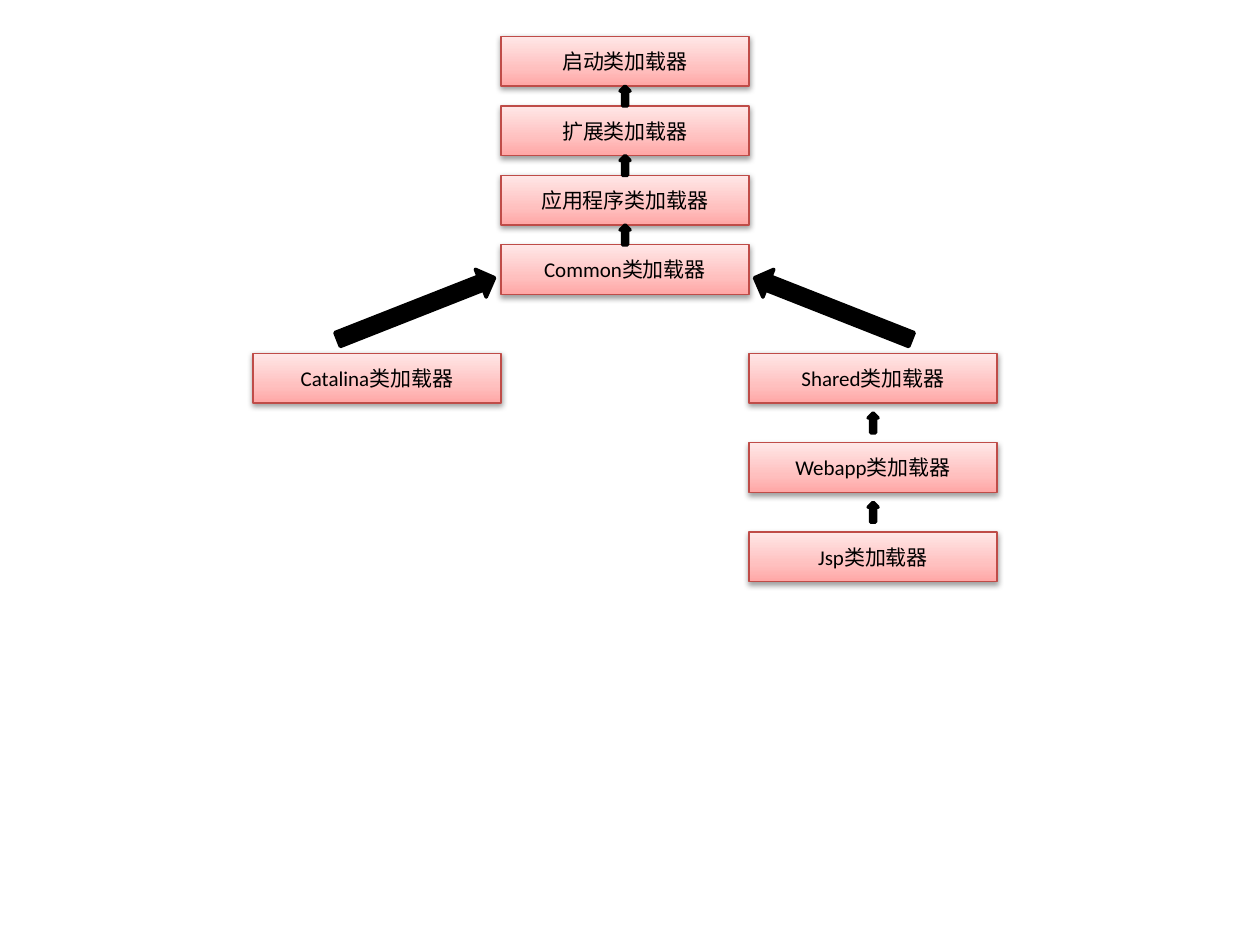
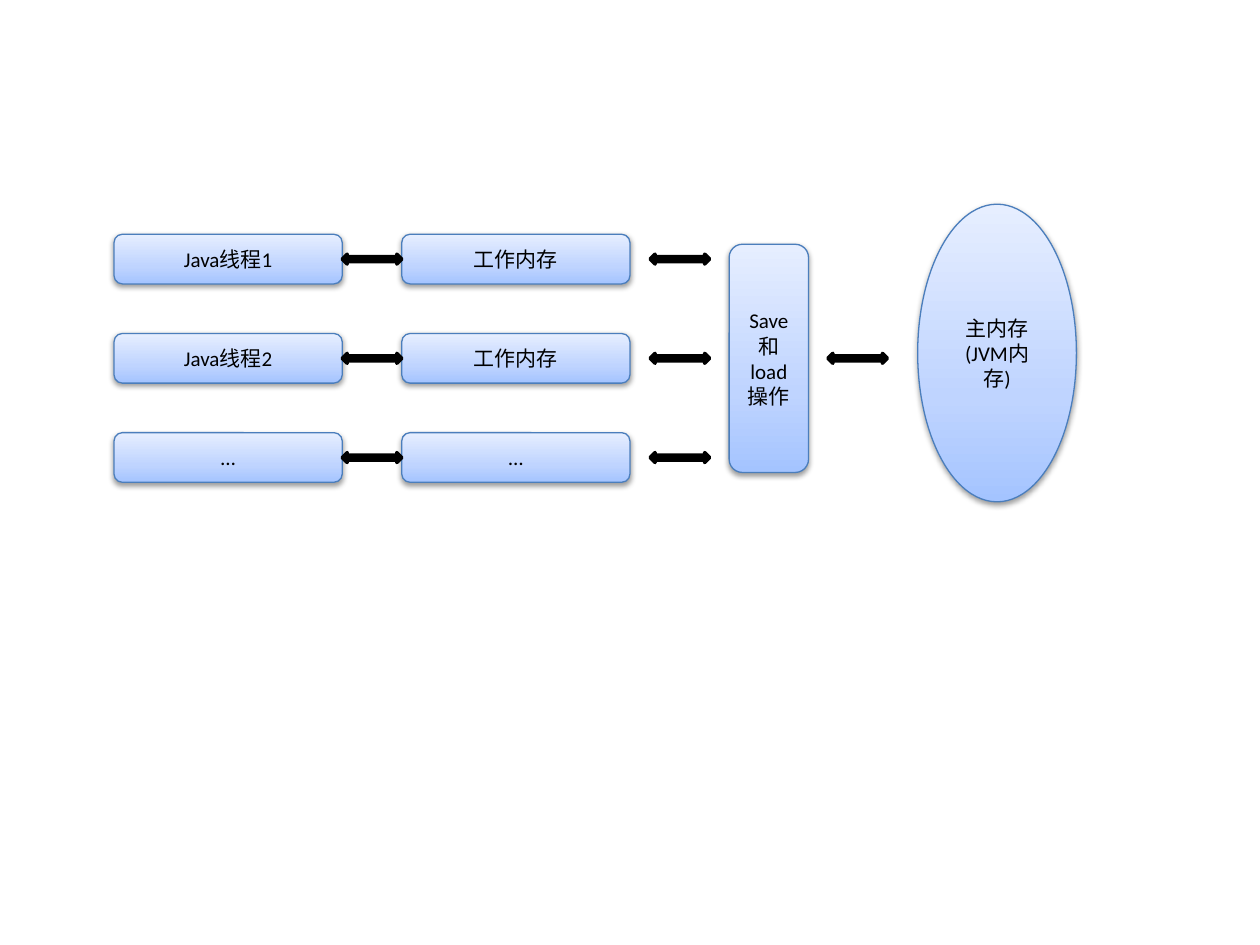
"""Draw a class loader tree and a thread memory model as two slides."""
from dataclasses import dataclass

from pptx import Presentation
from pptx.dml.color import RGBColor
from pptx.enum.shapes import MSO_SHAPE
from pptx.enum.text import MSO_ANCHOR, PP_ALIGN
from pptx.oxml import parse_xml
from pptx.oxml.ns import nsdecls, qn
from pptx.shapes.autoshape import Shape
from pptx.slide import Slide
from pptx.util import Pt

HEX = {
    "black": "000000",
    "red": "BF4C48", "red0": "FFA6A5", "red35": "FFC0BF", "red100": "FFE7E7",
    "blue": "4B7EBC", "blue0": "A4C4FF", "blue35": "BFD4FF", "blue100": "E6EEFF",
}
FONT = "Calibri"
BOX_H = 28.35
THIN = 5.67


@dataclass
class Node:
    text: str
    left: float
    top: float
    width: float
    height: float = BOX_H
    kind: MSO_SHAPE = MSO_SHAPE.RECTANGLE


@dataclass
class Arrow:
    left: float
    top: float
    width: float
    height: float
    kind: MSO_SHAPE
    turn: float = 0


def color(name: str) -> RGBColor:
    return RGBColor.from_string(HEX[name])


def place(slide: Slide, item: Node | Arrow) -> Shape:
    spots = (Pt(v) for v in (item.left, item.top, item.width, item.height))
    shape = slide.shapes.add_shape(item.kind, *spots)
    shape.shadow.inherit = False
    return shape


def shade(shape: Shape, tone: str) -> None:
    shape.fill.gradient()
    shape.fill.gradient_angle = 90
    props = shape._element.spPr
    stops = "".join(
        f'<a:gs pos="{at * 1000}"><a:srgbClr val="{HEX[f"{tone}{at}"]}"/></a:gs>'
        for at in (0, 35, 100)
    )
    grad = props.find(qn("a:gradFill"))
    grad.replace(
        grad.find(qn("a:gsLst")),
        parse_xml(f'<a:gsLst {nsdecls("a")}>{stops}</a:gsLst>'),
    )
    props.find(qn("a:effectLst")).append(parse_xml(
        f'<a:outerShdw {nsdecls("a")} blurRad="{Pt(3.15)}" dist="{Pt(1.57)}" '
        f'dir="5400000" rotWithShape="0"><a:srgbClr val="{HEX["black"]}">'
        '<a:alpha val="38000"/></a:srgbClr></a:outerShdw>'
    ))


def draw_node(slide: Slide, node: Node, tone: str) -> None:
    shape = place(slide, node)
    shade(shape, tone)
    shape.line.color.rgb = color(tone)
    shape.line.width = Pt(0.75)
    frame = shape.text_frame
    frame.text = node.text
    frame.vertical_anchor = MSO_ANCHOR.MIDDLE
    for para in frame.paragraphs:
        para.alignment = PP_ALIGN.CENTER
        for run in para.runs:
            run.font.name = FONT
            run.font.size = Pt(12)
            run.font.color.rgb = color("black")


def draw_arrow(slide: Slide, arrow: Arrow) -> None:
    shape = place(slide, arrow)
    shape.rotation = arrow.turn
    shape.fill.solid()
    shape.fill.fore_color.rgb = color("black")
    shape.line.color.rgb = color("black")
    shape.line.width = Pt(2)


def draw(slide: Slide, nodes: list[Node], arrows: list[Arrow], tone: str) -> None:
    for node in nodes:
        draw_node(slide, node, tone)
    for arrow in arrows:
        draw_arrow(slide, arrow)


def stack(names: list[str], left: float, top: float, width: float,
          step: float) -> list[Node]:
    return [Node(name, left, top + i * step, width) for i, name in enumerate(names)]


def climb(nodes: list[Node]) -> list[Arrow]:
    tall = 2 * THIN
    return [
        Arrow(low.left + (low.width - THIN) / 2,
              (high.top + BOX_H + low.top - tall) / 2,
              THIN, tall, MSO_SHAPE.UP_ARROW)
        for high, low in zip(nodes, nodes[1:])
    ]


def draw_tree(slide: Slide) -> None:
    wide = 141.73
    west, mid, east = (144.6 + i * wide for i in range(3))
    upper = stack(["启动类加载器", "扩展类加载器", "应用程序类加载器",
                   "Common类加载器"], mid, 20.85, wide, 39.69)
    base = 202
    side = Node("Catalina类加载器", west, base, wide)
    lower = stack(["Shared类加载器", "Webapp类加载器", "Jsp类加载器"],
                  east, base, wide, 51.02)
    slant = [Arrow(left, 167.9, 96.4, 17, MSO_SHAPE.RIGHT_ARROW, turn)
             for left, turn in ((189.6, 338.5), (427.8, 201.5))]
    draw(slide, [*upper, side, *lower],
         [*climb(upper), *slant, *climb(lower)], "red")


def draw_memory(slide: Slide) -> None:
    wide, gap, left, top, step = 130.39, 34.02, 65.2, 133.9, 56.69
    threads = stack(["Java线程1", "Java线程2", "…"], left, top, wide, step)
    caches = stack(["工作内存", "工作内存", "…"], left + wide + gap, top, wide, step)
    for node in threads + caches:
        node.kind = MSO_SHAPE.ROUNDED_RECTANGLE
    gate = Node("Save和load操作", 416.7, 139.6, 45.35, wide,
                MSO_SHAPE.ROUNDED_RECTANGLE)
    main = Node("主内存\n(JVM内存)", 524.4, 116.7, 90.7, 170.08, MSO_SHAPE.OVAL)
    spots = [(x, row) for x in (left + wide, 371.5) for row in range(3)]
    arrows = [
        Arrow(x, top + row * step + (BOX_H - THIN) / 2, gap, THIN,
              MSO_SHAPE.LEFT_RIGHT_ARROW)
        for x, row in [*spots, (473.1, 1)]
    ]
    draw(slide, [*threads, *caches, gate, main], arrows, "blue")


def build() -> None:
    deck = Presentation()
    deck.slide_width, deck.slide_height = Pt(720), Pt(540)
    blank = deck.slide_layouts[6]
    for paint in (draw_tree, draw_memory):
        paint(deck.slides.add_slide(blank))
    deck.save("out.pptx")


build()
